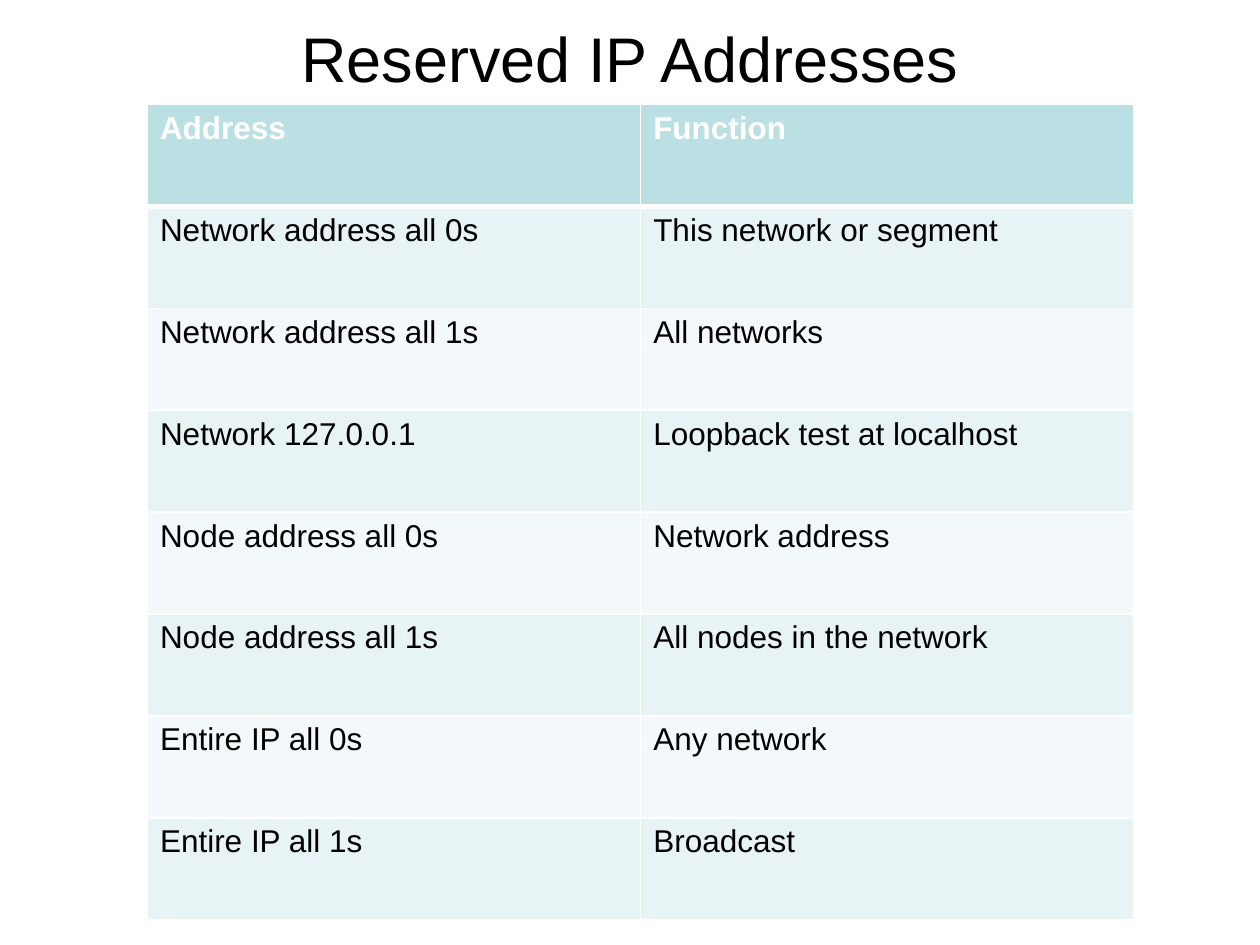
from lxml.etree import SubElement
from pptx import Presentation
from pptx.dml.color import RGBColor
from pptx.enum.text import MSO_ANCHOR, PP_ALIGN
from pptx.oxml.ns import qn
from pptx.util import Inches, Pt

WHITE, BLACK = "FFFFFF", "000000"
HEADER_FILL = "BBE0E3"
BAND_FILLS = ("E7F3F4", "F3F9FA")
ROWS = [
    ("Address", "Function"),
    ("Network address all 0s", "This network or segment"),
    ("Network address all 1s", "All networks"),
    ("Network 127.0.0.1", "Loopback test at localhost"),
    ("Node address all 0s", "Network address"),
    ("Node address all 1s", "All nodes in the network"),
    ("Entire IP all 0s", "Any network"),
    ("Entire IP all 1s", "Broadcast"),
]


def rgb(value):
    return RGBColor.from_string(value)


def write(tf, text, size=18, color=BLACK, bold=False, align=PP_ALIGN.LEFT):
    p = tf.paragraphs[0]
    p.alignment = align
    r = p.add_run()
    r.text = text
    r.font.name = "Arial"
    r.font.size = Pt(size)
    r.font.bold = bold
    r.font.color.rgb = rgb(color)


def set_borders(cell, top=1, bottom=1):
    """Draw white cell edges, with widths in points."""
    tc_pr = cell._tc.get_or_add_tcPr()
    for side, width in (("L", 1), ("R", 1), ("T", top), ("B", bottom)):
        ln = SubElement(tc_pr, qn(f"a:ln{side}"), w=str(Pt(width)))
        fill = SubElement(ln, qn("a:solidFill"))
        SubElement(fill, qn("a:srgbClr"), val=WHITE)


def add_title(s, text, left, top, width, height):
    title = s.shapes.title
    title.left, title.top, title.width, title.height = left, top, width, height
    tf = title.text_frame
    tf.word_wrap = True
    tf.vertical_anchor = MSO_ANCHOR.MIDDLE
    write(tf, text, size=36, align=PP_ALIGN.CENTER)


def add_address_table(s, rows, left, top, width, height):
    table = s.shapes.add_table(len(rows), len(rows[0]), left, top, width, height).table
    for i, row in enumerate(rows):
        header = i == 0
        fill = HEADER_FILL if header else BAND_FILLS[(i - 1) % 2]
        for j, text in enumerate(row):
            cell = table.cell(i, j)
            set_borders(cell, top=3 if i == 1 else 1, bottom=3 if header else 1)
            cell.fill.solid()
            cell.fill.fore_color.rgb = rgb(fill)
            write(cell.text_frame, text, color=WHITE if header else BLACK, bold=header)


def main():
    prs = Presentation()
    prs.slide_width, prs.slide_height = Inches(10), Inches(7.5)
    s = prs.slides.add_slide(prs.slide_layouts[5])
    add_title(s, "Reserved IP Addresses",
              Inches(0.5), Inches(-0.17), Inches(9), Inches(1.25))
    add_address_table(s, ROWS, Inches(1.17), Inches(0.83), Inches(7.83), Inches(6.47))
    prs.save("out.pptx")


if __name__ == "__main__":
    main()
